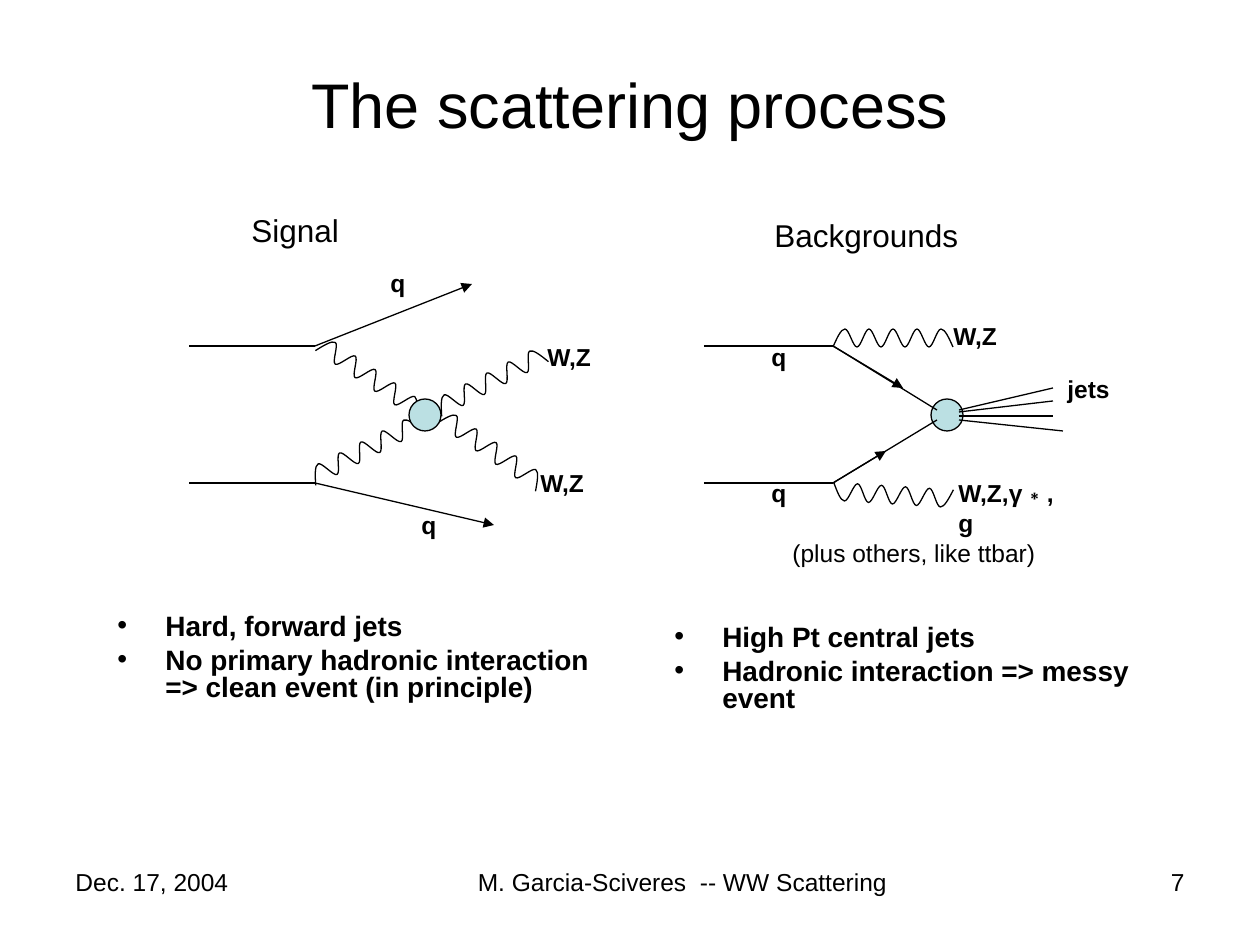
from dataclasses import dataclass

from lxml.etree import SubElement
from pptx import Presentation
from pptx.dml.color import RGBColor
from pptx.enum.shapes import MSO_CONNECTOR as Connector, MSO_SHAPE as Preset
from pptx.enum.text import MSO_ANCHOR as Anchor, PP_ALIGN as Align
from pptx.oxml.ns import qn
from pptx.util import Pt

SCALE = 914400 / 126


@dataclass(frozen=True)
class Theme:
    font: str = "Arial"
    ink: RGBColor = RGBColor(0, 0, 0)
    vertex: RGBColor = RGBColor(0xBB, 0xE0, 0xE3)
    stroke: float = 0.75
    title: int = 36
    heading: int = 18
    bullet: int = 16
    label: int = 14


THEME = Theme()

TITLE = ("The scattering process", (63, 38, 1134, 130))
HEADINGS = [("Signal", (239, 205, 118, 50)), ("Backgrounds", (762, 210, 213, 50))]
LABELS = [
    ("W,Z", (528, 462, 74, 43)),
    ("W,Z", (535, 336, 74, 43)),
    ("q", (409, 504, 44, 43)),
    ("q", (378, 262, 44, 43)),
    ("W,Z", (941, 315, 74, 43)),
    ("q", (759, 472, 44, 43)),
    ("q", (759, 336, 44, 43)),
    ("jets", (1055, 368, 74, 43)),
]
WRAPPED_LABEL = ("W,Z,γ∗,g", (946, 472, 125, 43))
REMARK = ("(plus others, like ttbar)", (780, 532, 272, 43))
BULLETS = [
    (["Hard, forward jets",
      "No primary hadronic interaction => clean event (in principle)"],
     (105, 609, 504, 136)),
    (["High Pt central jets", "Hadronic interaction => messy event"],
     (662, 620, 504, 126)),
]
FOOTERS = [
    ("Dec. 17, 2004", (63, 861, 231, 66), Align.LEFT),
    ("M. Garcia-Sciveres  -- WW Scattering", (315, 861, 735, 66), Align.CENTER),
    ("7", (1061, 861, 136, 66), Align.RIGHT),
]

UPPER, LOWER = 346, 483
SIGNAL_X, BACKGROUND_X = 315, 833
LINES = [
    ((189, UPPER), (SIGNAL_X, UPPER)),
    ((189, LOWER), (SIGNAL_X, LOWER)),
    ((704, UPPER), (BACKGROUND_X, UPPER)),
    ((704, LOWER), (BACKGROUND_X, LOWER)),
    ((BACKGROUND_X, UPPER), (937, 410)),
    ((BACKGROUND_X, LOWER), (937, 420)),
    ((959, 410), (1053, 388)),
    ((959, 412), (1053, 401)),
    ((959, 416), (1053, 416)),
    ((959, 420), (1063, 431)),
]
ARROWS = [
    ((SIGNAL_X, UPPER), (472, 284)),
    ((SIGNAL_X, LOWER), (494, 525)),
    ((BACKGROUND_X, UPPER), (903, 388)),
    ((BACKGROUND_X, LOWER), (886, 451)),
]
RISING, FALLING = 332.9, 34.3
WAVES = [
    ((305, 441), RISING, False),
    ((310, 368), FALLING, False),
    ((431, 372), RISING, False),
    ((431, 441), FALLING, False),
    ((833, 329), 0, False),
    ((833, 486), 3.6, True),
]
WAVE_STEP, WAVE_HEIGHT, WAVE_STEPS = 12, 18, 10
VERTICES = [(409, 399), (931, 399)]
VERTEX_SIZE = 32


def px(value):
    return round(value * SCALE)


def add_text(slide, text, box, size, bold=False, align=Align.LEFT,
             anchor=Anchor.TOP, wrap=True, bullets=False):
    frame = slide.shapes.add_textbox(*map(px, box)).text_frame
    frame.word_wrap = wrap
    frame.vertical_anchor = anchor
    for index, line in enumerate([text] if isinstance(text, str) else text):
        paragraph = frame.add_paragraph() if index else frame.paragraphs[0]
        paragraph.alignment = align
        if bullets:
            properties = paragraph._p.get_or_add_pPr()
            properties.set("marL", str(px(48)))
            properties.set("indent", str(-px(48)))
            SubElement(properties, qn("a:buFont")).set("typeface", THEME.font)
            SubElement(properties, qn("a:buChar")).set("char", "•")
            paragraph.line_spacing = 0.8
            if index:
                paragraph.space_before = Pt(4)
        run = paragraph.add_run()
        run.text = line
        run.font.name = THEME.font
        run.font.size = Pt(size)
        run.font.bold = bold
        run.font.color.rgb = THEME.ink


def set_stroke(shape):
    shape.line.color.rgb = THEME.ink
    shape.line.width = Pt(THEME.stroke)


def add_line(slide, start, end, arrow=False):
    connector = slide.shapes.add_connector(
        Connector.STRAIGHT, *map(px, start + end))
    set_stroke(connector)
    properties = connector.element.spPr
    if arrow:
        SubElement(properties.find(qn("a:ln")), qn("a:tailEnd")).set("type", "triangle")
    SubElement(properties, qn("a:effectLst"))


def add_wave(slide, corner, rotation, flipped):
    left, top = corner
    levels = (top, top + WAVE_HEIGHT) if flipped else (top + WAVE_HEIGHT, top)
    middle = top + WAVE_HEIGHT / 2
    points = []
    for step in range(WAVE_STEPS):
        x = left + step * WAVE_STEP
        start, end = levels[step % 2], levels[(step + 1) % 2]
        leaving = middle if step == 0 else start
        arriving = middle if step == WAVE_STEPS - 1 else end
        points += [(x + WAVE_STEP / 3, leaving),
                   (x + WAVE_STEP * 2 / 3, arriving),
                   (x + WAVE_STEP, end)]
    builder = slide.shapes.build_freeform(px(left), px(levels[0]), scale=1.0)
    builder.add_line_segments([(px(x), px(y)) for x, y in points], close=False)
    wave = builder.convert_to_shape()
    outline = next(wave.element.iter(qn("a:path")))
    segments = outline.findall(qn("a:lnTo"))
    for first in range(0, len(segments), 3):
        curve = SubElement(outline, qn("a:cubicBezTo"))
        for segment in segments[first:first + 3]:
            curve.append(segment[0])
            outline.remove(segment)
    wave.rotation = rotation
    wave.shadow.inherit = False
    wave.fill.background()
    set_stroke(wave)


def add_vertex(slide, corner):
    vertex = slide.shapes.add_shape(
        Preset.OVAL, *map(px, corner + (VERTEX_SIZE, VERTEX_SIZE)))
    vertex.shadow.inherit = False
    vertex.fill.solid()
    vertex.fill.fore_color.rgb = THEME.vertex
    set_stroke(vertex)


def main():
    presentation = Presentation()
    presentation.slide_width, presentation.slide_height = px(1260), px(945)
    slide = presentation.slides.add_slide(presentation.slide_layouts[6])

    add_text(slide, *TITLE, THEME.title, align=Align.CENTER, anchor=Anchor.MIDDLE)
    for wave in WAVES:
        add_wave(slide, *wave)
    for corner in VERTICES:
        add_vertex(slide, corner)
    for start, end in LINES:
        add_line(slide, start, end)
    for start, end in ARROWS:
        add_line(slide, start, end, arrow=True)
    for text, box in LABELS:
        add_text(slide, text, box, THEME.label, bold=True, wrap=False)
    add_text(slide, *WRAPPED_LABEL, THEME.label, bold=True)
    for text, box in HEADINGS:
        add_text(slide, text, box, THEME.heading, wrap=False)
    add_text(slide, *REMARK, THEME.label, wrap=False)
    for lines, box in BULLETS:
        add_text(slide, lines, box, THEME.bullet, bold=True, bullets=True)
    for text, box, align in FOOTERS:
        add_text(slide, text, box, THEME.label, align=align)

    presentation.save("out.pptx")


if __name__ == "__main__":
    main()
